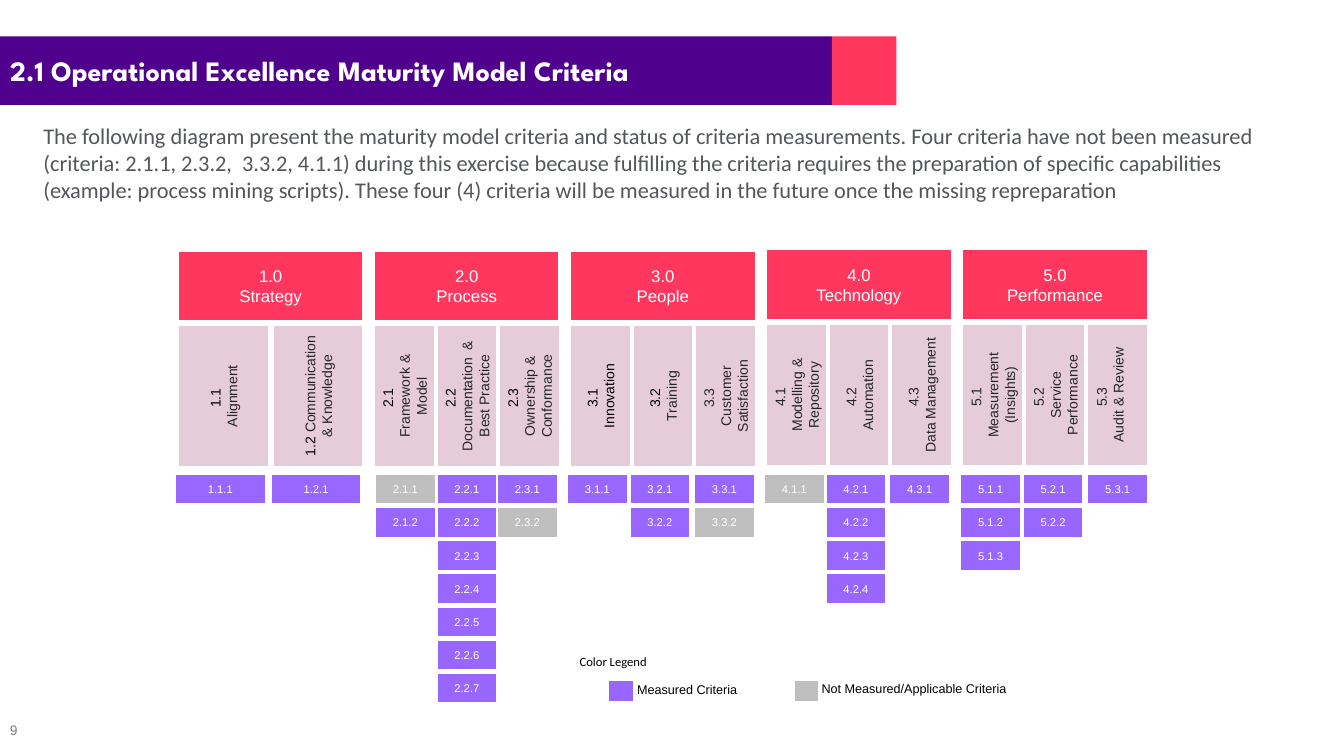
from pptx import Presentation
from pptx import util as u
from pptx.dml.color import RGBColor
from pptx.enum import shapes, text

THEME = {
    "purple": "4F008C", "coral": "FF375E", "blush": "E5CCD8", "violet": "9966FF",
    "grey": "BFBFBF", "white": "FFFFFF", "black": "000000", "ink": "262626",
    "slate": "53565A", "dim": "808080",
    "title": 20, "body": 16, "section": 12, "column": 10, "legend": 9, "cell": 8, "page": 9.9,
}
MIDDLE, TOP = text.MSO_ANCHOR.MIDDLE, text.MSO_ANCHOR.TOP
CENTER, LEFT = text.PP_ALIGN.CENTER, text.PP_ALIGN.LEFT

deck = Presentation()
deck.slide_width, deck.slide_height = u.Inches(13.33), u.Inches(7.5)
page = deck.slides.add_slide(deck.slide_layouts[1])


def write(box, lines, size, font="Arial", align=CENTER, bold=False, **frame_format):
    """Fill a box with lines, each a list of (wording, colour) spans."""
    frame = box.text_frame
    settings = {"word_wrap": True, "auto_size": text.MSO_AUTO_SIZE.NONE,
                "vertical_anchor": MIDDLE, **frame_format}
    for name, value in settings.items():
        setattr(frame, name, value)
    for number, line in enumerate(lines):
        para = frame.add_paragraph() if number else frame.paragraphs[0]
        para.alignment, para.space_before = align, u.Pt(0)
        for wording, colour in line:
            span = para.add_run()
            span.text = wording
            for name, value in {"name": font, "size": u.Pt(THEME[size]), "bold": bold}.items():
                setattr(span.font, name, value)
            span.font.color.rgb = RGBColor.from_string(THEME[colour])


def block(left, top, width, height, fill, outlined=True):
    """Add a flat rectangle."""
    box = page.shapes.add_shape(shapes.MSO_SHAPE.RECTANGLE,
                                *map(u.Inches, (left, top, width, height)))
    box.shadow.inherit = False
    box.fill.solid()
    box.fill.fore_color.rgb = RGBColor.from_string(THEME[fill])
    if outlined:
        box.line.color.rgb = RGBColor.from_string(THEME["white"])
        box.line.width = u.Pt(0.75)
    else:
        box.line.fill.background()
    return box


# Title band and introduction
title, body = page.shapes.title, page.placeholders[1]
for holder, place in ((title, (0, 0.36, 8.25, 0.68)), (body, (0.33, 1.16, 12.46, 1.45))):
    holder.left, holder.top, holder.width, holder.height = map(u.Inches, place)
title.fill.solid()
title.fill.fore_color.rgb = RGBColor.from_string(THEME["purple"])
write(title, [[("2.1 Operational Excellence Maturity Model Criteria", "white")]],
      "title", "League Spartan", LEFT, True)
block(8.25, 0.36, 0.64, 0.68, "coral", outlined=False)

INTRO = (
    "The following diagram present the maturity model criteria and status of criteria "
    "measurements. Four criteria have not been measured (criteria: 2.1.1, 2.3.2,  3.3.2, 4.1.1) "
    "during this exercise because fulfilling the criteria requires the preparation of specific "
    "capabilities (example: process mining scripts). These four (4) criteria will be measured "
    "in the future once the missing repreparation"
)
write(body, [[(INTRO, "slate")]], "body", "Calibri", LEFT, vertical_anchor=TOP)
body_format = body.text_frame.paragraphs[0]._p.get_or_add_pPr()
body_format.set("marL", "0")
body_format.set("indent", "0")
body_format.insert_element_before(
    body_format.makeelement("{http://schemas.openxmlformats.org/drawingml/2006/main}buNone", {}),
    "a:tabLst", "a:defRPr", "a:extLst")

# Sections: name, rise, then columns as (name, number of criteria, shift of criteria)
SECTIONS = [
    ("Strategy", 0, [("Alignment", 1, -0.03), ("Communication & Knowledge", 1, -0.02)]),
    ("Process", 0, [("Framework & Model", 2, 0.01), ("Documentation  & Best Practice", 7, 0),
                    ("Ownership & Conformance", 2, -0.02)]),
    ("People", 0, [("Innovation", 1, -0.03), ("Training", 2, -0.03),
                   ("Customer Satisfaction", 2, -0.01)]),
    ("Technology", 0.01, [("Modelling & Repository", 1, -0.02), ("Automation", 4, -0.03),
                          ("Data Management", 1, -0.02)]),
    ("Performance", 0.01, [("Measurement (Insights)", 3, -0.02),
                           ("Service Performance", 2, -0.02), ("Audit & Review", 1, 0)]),
]
NOT_MEASURED = {"2.1.1", "2.3.2", "3.3.2", "4.1.1"}
GRID_LEFT, SECTION_STEP, SECTION_WIDTH = 1.77, 1.945, 1.83
CELL_TOP, CELL_STEP, CELL_HEIGHT = 4.71, 0.328, 0.29

for section, (section_name, rise, columns) in enumerate(SECTIONS, 1):
    section_left = GRID_LEFT + (section - 1) * SECTION_STEP
    head = block(section_left, 2.49 - rise, SECTION_WIDTH, 0.69, "coral")
    write(head, [[(f"{section}.0", "white")], [(section_name, "white")]], "section")

    width, step = (0.89, 0.94) if len(columns) == 2 else (0.59, 0.62)
    for column, (name, count, shift) in enumerate(columns, 1):
        code = f"{section}.{column}"
        left = section_left + (column - 1) * step
        label = block(left, 3.23 - rise, width, 1.4, "blush")
        number = (f"{code} ", "black" if code < "3.3" else "ink")
        wording = (name, "black" if code == "3.1" else "ink")
        lines = [[number, wording]] if code == "1.2" else [[number], [wording]]
        write(label, lines, "column", vertical_anchor=TOP if code == "5.3" else MIDDLE)
        label.text_frame._txBody.bodyPr.set("vert", "vert270")

        # Criteria below the column
        for row in range(count):
            criterion = f"{code}.{row + 1}"
            cell = block(left + shift, CELL_TOP + row * CELL_STEP, width, CELL_HEIGHT,
                         "grey" if criterion in NOT_MEASURED else "violet")
            write(cell, [[(criterion, "white")]], "cell")

# Legend swatches
for left, fill in ((6.04, "violet"), (7.88, "grey")):
    block(left, 6.75, 0.24, 0.21, fill)

# Legend wording and page number
NOTES = [
    ("Measured Criteria", (6.22, 6.72, 1.45, 0.27), "Arial", "legend", "black", {}),
    ("Not Measured/Applicable Criteria", (8.05, 6.71, 2.95, 0.27), "Arial", "legend", "black", {}),
    ("Color Legend", (5.65, 6.44, 1.02, 0.27), "Calibri", "legend", "black", {}),
    ("9", (0, 7.16, 0.49, 0.2), "Arial", "page", "dim", {"margin_top": 0, "margin_bottom": 0}),
]
for wording, place, font, size, colour, margins in NOTES:
    note = page.shapes.add_textbox(*map(u.Inches, place))
    write(note, [[(wording, colour)]], size, font, LEFT, vertical_anchor=TOP, **margins)

deck.save("out.pptx")
